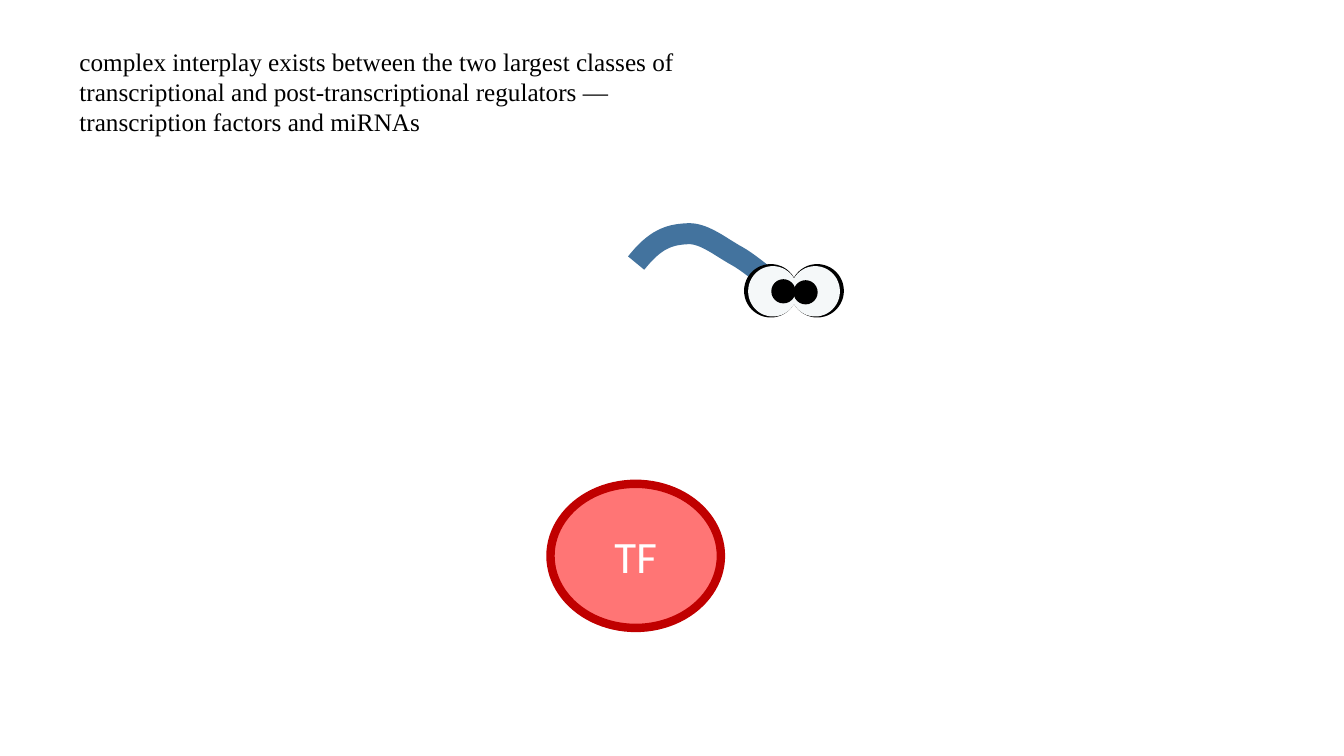
from dataclasses import dataclass
from typing import Any, Optional

from pptx import Presentation
from pptx.dml.color import RGBColor
from pptx.enum.shapes import MSO_SHAPE
from pptx.enum.text import MSO_ANCHOR, MSO_AUTO_SIZE, PP_ALIGN
from pptx.util import Inches, Pt

OVAL = MSO_SHAPE.OVAL
MIDDLE = MSO_ANCHOR.MIDDLE
CENTER = PP_ALIGN.CENTER
FIT_SHAPE = MSO_AUTO_SIZE.SHAPE_TO_FIT_TEXT

BLACK = RGBColor(0x00, 0x00, 0x00)
WHITE = RGBColor(0xFF, 0xFF, 0xFF)
EYE_WHITE = RGBColor(0xF5, 0xF8, 0xF9)
PINK = RGBColor(0xFF, 0x75, 0x75)
DARK_RED = RGBColor(0xC0, 0x00, 0x00)
STRAND_BLUE = RGBColor(0x43, 0x73, 0x9E)

STATEMENT = (
    "complex interplay exists between the two largest classes of "
    "transcriptional and post-transcriptional regulators — "
    "transcription factors and miRNAs"
)
STATEMENT_FORMAT = {"name": "Times New Roman", "size": Pt(18)}
FACTOR_FORMAT = {"name": "Calibri", "size": Pt(32)}

Point = tuple[float, float]


@dataclass(frozen=True)
class Ellipse:
    left: float
    top: float
    width: float
    height: float
    fill: RGBColor
    line: Optional[RGBColor] = None
    line_width: float = 0


FACTOR = Ellipse(5.46, 4.8, 1.69, 1.43, PINK, DARK_RED, 6)

# Rims, whites and pupils, from back to front
EYES = [
    Ellipse(7.38, 2.62, 0.53, 0.53, BLACK),
    Ellipse(7.84, 2.62, 0.53, 0.53, BLACK),
    Ellipse(7.42, 2.64, 0.49, 0.5, EYE_WHITE),
    Ellipse(7.84, 2.64, 0.49, 0.5, EYE_WHITE),
    Ellipse(7.65, 2.77, 0.24, 0.24, BLACK),
    Ellipse(7.87, 2.78, 0.24, 0.24, BLACK),
]

# Bezier curves of the miRNA strand: two controls and an end each
STRAND_START: Point = (6.31, 2.61)
STRAND_CURVES: list[tuple[Point, Point, Point]] = [
    ((6.5, 2.37), (6.64, 2.33), (6.8, 2.32)),
    ((6.97, 2.3), (7.13, 2.44), (7.31, 2.54)),
    ((7.49, 2.64), (7.7, 2.86), (7.88, 2.92)),
]
STEPS_PER_CURVE = 16


def write_text(shape: Any, text: str, font_format: dict[str, Any], color: RGBColor) -> Any:
    """Write one formatted paragraph and return it."""
    paragraph = shape.text_frame.paragraphs[0]
    run = paragraph.add_run()
    run.text = text
    for attribute, value in font_format.items():
        setattr(run.font, attribute, value)
    run.font.color.rgb = color
    return paragraph


def add_ellipse(slide: Any, ellipse: Ellipse) -> Any:
    box = (ellipse.left, ellipse.top, ellipse.width, ellipse.height)
    shape = slide.shapes.add_shape(OVAL, *map(Inches, box))
    shape.shadow.inherit = False
    shape.fill.solid()
    shape.fill.fore_color.rgb = ellipse.fill
    if ellipse.line is None:
        shape.line.fill.background()
    else:
        shape.line.color.rgb = ellipse.line
        shape.line.width = Pt(ellipse.line_width)
    return shape


def bezier_point(corners: tuple[Point, ...], t: float) -> Point:
    weights = ((1 - t) ** 3, 3 * t * (1 - t) ** 2, 3 * t**2 * (1 - t), t**3)
    x, y = (sum(w * c[axis] for w, c in zip(weights, corners)) for axis in (0, 1))
    return x, y


def add_strand(slide: Any) -> None:
    points: list[Point] = []
    start = STRAND_START
    for curve in STRAND_CURVES:
        points += [
            bezier_point((start, *curve), step / STEPS_PER_CURVE)
            for step in range(1, STEPS_PER_CURVE + 1)
        ]
        start = curve[-1]
    builder = slide.shapes.build_freeform(*map(Inches, STRAND_START))
    builder.add_line_segments([(Inches(x), Inches(y)) for x, y in points], close=False)
    strand = builder.convert_to_shape()
    strand.shadow.inherit = False
    strand.fill.background()
    strand.line.color.rgb = STRAND_BLUE
    strand.line.width = Pt(15)


def main() -> None:
    presentation = Presentation()
    presentation.slide_width = Inches(13.33)
    presentation.slide_height = Inches(7.5)
    slide = presentation.slides.add_slide(presentation.slide_layouts[6])

    # Statement
    statement = slide.shapes.add_textbox(*map(Inches, (0.69, 0.41, 6.67, 1.01)))
    statement.text_frame.word_wrap = True
    statement.text_frame.auto_size = FIT_SHAPE
    write_text(statement, STATEMENT, STATEMENT_FORMAT, BLACK)

    # Transcription factor
    factor = add_ellipse(slide, FACTOR)
    factor.text_frame.vertical_anchor = MIDDLE
    write_text(factor, "TF", FACTOR_FORMAT, WHITE).alignment = CENTER

    # miRNA strand with eyes
    add_strand(slide)
    for eye_part in EYES:
        add_ellipse(slide, eye_part)

    presentation.save("out.pptx")


if __name__ == "__main__":
    main()
